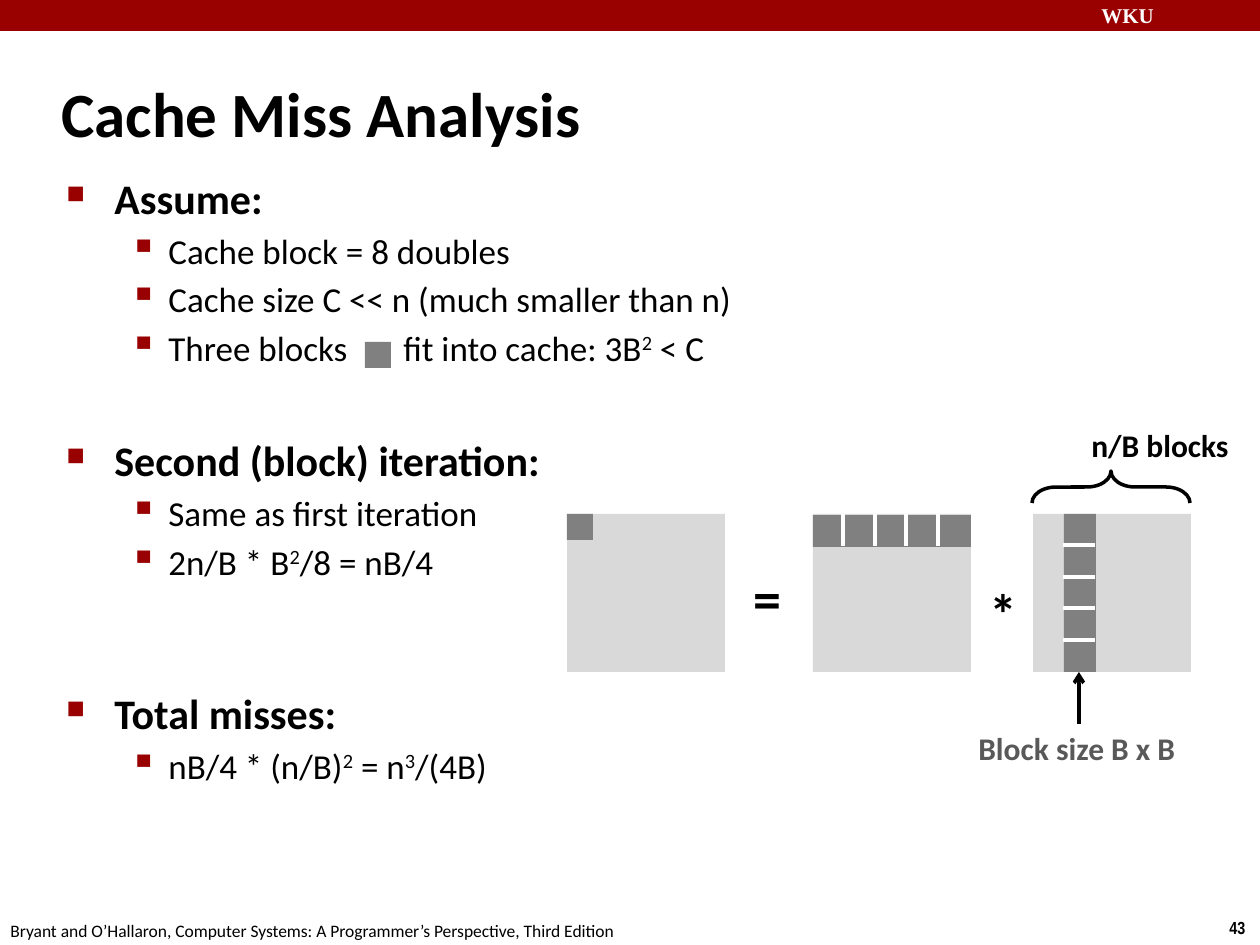
from lxml.etree import SubElement
from pptx import Presentation
from pptx.dml.color import RGBColor
from pptx.enum.shapes import MSO_CONNECTOR as LINK, MSO_SHAPE as SHAPE
from pptx.enum.text import MSO_ANCHOR as ANCHOR
from pptx.oxml.ns import qn
from pptx.util import Pt

PX = 914400 // 126
COLORS = {"red": "990000", "white": "FFFFFF", "black": "000000",
          "matrix": "D9D9D9", "block": "808080", "label": "595959"}


def add_block(bounds, color, kind=SHAPE.RECTANGLE):
    shape = page.shapes.add_shape(kind, *[value * PX for value in bounds])
    shape.shadow.inherit = False
    shape.fill.solid()
    shape.fill.fore_color.rgb = RGBColor.from_string(COLORS[color])
    shape.line.fill.background()
    return shape


def add_line(ends, color):
    line = page.shapes.add_connector(LINK.STRAIGHT, *[value * PX for value in ends])
    line.line.width = Pt(2)
    line.line.color.rgb = RGBColor.from_string(COLORS[color])
    SubElement(line._element.spPr, qn("a:effectLst"))
    return line


deck = Presentation()
deck.slide_width = 1260 * PX
deck.slide_height = 945 * PX
page = deck.slides.add_slide(deck.slide_layouts[6])

add_block((0, 0, 1260, 31), "red")

MATRIX = 158
TOP = 514
STRIP = 32
for left in (813, 1033, 567):
    add_block((left, TOP, MATRIX, MATRIX), "matrix")
for bounds in ((567, TOP, 26, 26), (365, 342, 26, 26),
               (813, 515, MATRIX, STRIP), (1064, TOP, STRIP, MATRIX)):
    add_block(bounds, "block")

for step in range(1, 5):
    offset = step * MATRIX // 5
    add_line((812 + offset, TOP, 812 + offset, TOP + STRIP), "white")
    add_line((1063, TOP + offset, 1095, TOP + offset), "white")

arrow = add_line((1079, 724, 1079, 672), "black")
SubElement(arrow.line._get_or_add_ln(), qn("a:tailEnd"), type="arrow")

brace = add_block((1095, 408, STRIP, MATRIX), "black", SHAPE.LEFT_BRACE)
brace.rotation = 90
brace.adjustments[0] = 0.75
brace.fill.background()
brace.line.width = Pt(2)
brace.line.color.rgb = RGBColor.from_string(COLORS["black"])

LABELS = [
    ("WKU", (1089, -4, 180, 38), 12, "Times New Roman", "white", True),
    ("43", (1217, 911, 43, 34), 10, "Arial Narrow", "black", True),
    ("Bryant and O’Hallaron, Computer Systems: A Programmer’s Perspective, Third Edition",
     (-2, 914, 640, 34), 10, "Calibri", "black", False),
    ("Cache Miss Analysis", (49, 60, 1046, 105), 36, "Calibri", "black", True),
    ("*", (977, 572, 54, 81), 32, "Calibri", "black", True),
    ("=", (741, 557, 54, 81), 32, "Calibri", "black", True),
    ("Block size B x B", (966, 723, 224, 50), 18, "Calibri", "label", True),
    ("n/B blocks", (1079, 420, 164, 50), 18, "Calibri", "black", True),
]
for text, bounds, size, font, color, bold in LABELS:
    box = page.shapes.add_textbox(*[value * PX for value in bounds])
    box.text_frame.word_wrap = False
    if size == 36:
        box.text_frame.vertical_anchor = ANCHOR.MIDDLE
    para = box.text_frame.paragraphs[0]
    span = para.add_run()
    span.text = text
    for name, value in {"size": Pt(size), "name": font, "bold": bold}.items():
        setattr(span.font, name, value)
    span.font.color.rgb = RGBColor.from_string(COLORS[color])

LEVELS = [
    {"margin": 48, "indent": -48, "bullet": "■", "scale": 60,
     "font": {"size": Pt(24), "bold": True, "name": "Calibri"}},
    {"margin": 102, "indent": -39, "bullet": "▪", "scale": 110,
     "font": {"size": Pt(20), "bold": False, "name": "Calibri"}},
]
GAP = 3.7
OUTLINE = [
    (0, 0, ["Assume:"]),
    (1, GAP, ["Cache block = 8 doubles"]),
    (1, GAP, ["Cache size C << n (much smaller than n)"]),
    (1, GAP, ["Three blocks\tfit into cache: 3B", "2", " < C"]),
    (0, 38, ["Second (block) iteration:"]),
    (1, GAP, ["Same as first iteration"]),
    (1, GAP, ["2n/B * B", "2", "/8 = nB/4"]),
    (0, 60, ["Total misses:"]),
    (1, GAP, ["nB/4 * (n/B)", "2", " = n", "3", "/(4B)"]),
]
body = page.shapes.add_textbox(54 * PX, 166 * PX, 1089 * PX, 736 * PX).text_frame
body.word_wrap = True
for index, (level, before, parts) in enumerate(OUTLINE):
    style = LEVELS[level]
    para = body.add_paragraph() if index else body.paragraphs[0]
    para.level = level
    props = para._p.get_or_add_pPr()
    props.set("marL", str(style["margin"] * PX))
    props.set("indent", str(style["indent"] * PX))
    SubElement(SubElement(props, qn("a:buClr")), qn("a:srgbClr"), val=COLORS["red"])
    SubElement(props, qn("a:buSzPct"), val=str(style["scale"] * 1000))
    SubElement(props, qn("a:buChar"), char=style["bullet"])
    if "\t" in parts[0]:
        stops = SubElement(props, qn("a:tabLst"))
        for stop in (235, 337):
            SubElement(stops, qn("a:tab"), pos=str(stop * PX), algn="l")
    para.space_before = Pt(before)
    for order, text in enumerate(parts):
        span = para.add_run()
        span.text = text
        for name, value in style["font"].items():
            setattr(span.font, name, value)
        span.font.color.rgb = RGBColor.from_string(COLORS["black"])
        if order % 2:
            span.font._element.set("baseline", "30000")

deck.save("out.pptx")
